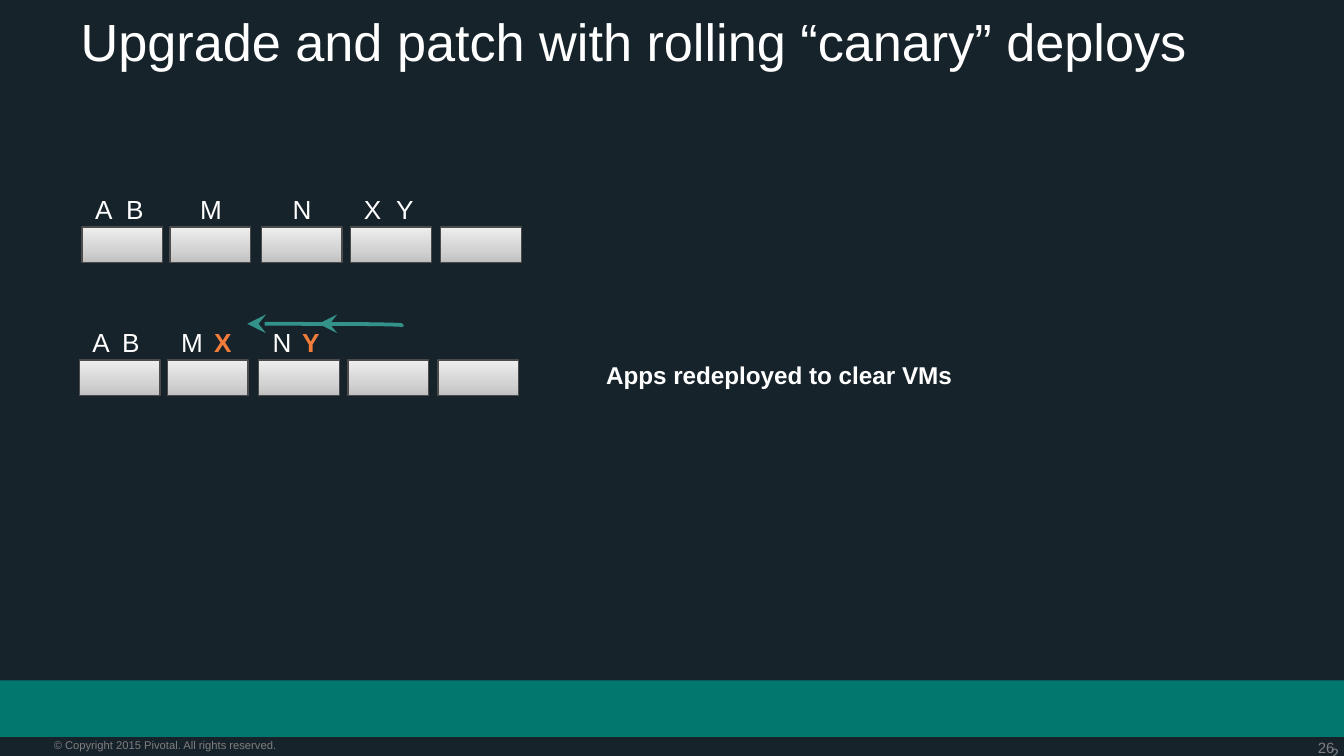
import copy
import pptx
import pptx.util
import pptx.dml.color
import pptx.enum.shapes
import pptx.enum.text
import pptx.oxml
import pptx.oxml.ns

GRID = pptx.util.Inches(0.1)
WHITE, ORANGE, TEAL, GREY = "FFFFFF", "F27C3A", "33928A", "7F7F7F"
VM_COLUMNS = (0, 6.55, 13.35, 20, 26.7)
VM_GRADIENT = ((0, "EEEEEE"), (0.65, "D3D3D3"), (1, "C0C0C0"))
DEPLOYED = (("A", 0), ("B", 2.3), ("M", 7.8), ("N", 14.7), ("X", 20), ("Y", 22.4))
REDEPLOYED = (("A", 0), ("B", 2.2), ("M", 6.6), ("N", 13.4))
MOVED = (("X", 9.05), ("Y", 15.6))


def grid(*cells):
    return [round(cell * GRID) for cell in cells]


def colour(hex_string):
    return pptx.dml.color.RGBColor.from_string(hex_string)


def element(tag, attributes=""):
    return pptx.oxml.parse_xml(f'<{tag} {pptx.oxml.ns.nsdecls("a")} {attributes}/>')


def write(frame, words, size=14, ink=WHITE, bold=False, align="LEFT", inset=(1, 0.5)):
    frame.word_wrap = True
    frame.auto_size = pptx.enum.text.MSO_AUTO_SIZE.NONE
    frame.vertical_anchor = pptx.enum.text.MSO_ANCHOR.TOP
    frame.margin_left, frame.margin_top = grid(*inset)
    frame.margin_right, frame.margin_bottom = grid(*inset)
    line = frame.paragraphs[0]
    line.alignment = getattr(pptx.enum.text.PP_ALIGN, align)
    run = line.add_run()
    run.text = words
    run.font.name = "Arial"
    run.font.size = pptx.util.Pt(size)
    run.font.bold = bold
    run.font.color.rgb = colour(ink)


def add_text(slide, box, words, **style):
    write(slide.shapes.add_textbox(*grid(*box)).text_frame, words, **style)


def add_block(slide, box):
    block = slide.shapes.add_shape(pptx.enum.shapes.MSO_SHAPE.RECTANGLE, *grid(*box))
    block.shadow.inherit = False
    return block


def add_vm(slide, box):
    vm = add_block(slide, box)
    vm.line.color.rgb = colour("4B4B4B")
    vm.line.width = pptx.util.Pt(0.75)
    vm.fill.gradient()
    vm.fill.gradient_angle = 270
    stop_list = vm.element.find(".//" + pptx.oxml.ns.qn("a:gsLst"))
    stop_list.insert(1, copy.deepcopy(stop_list[0]))
    for stop, (position, shade) in zip(vm.fill.gradient_stops, VM_GRADIENT):
        stop.position = position
        stop.color.rgb = colour(shade)


def add_vm_row(slide, left, top, apps, moved=()):
    for column in VM_COLUMNS:
        add_vm(slide, (left + column, top, 6, 2.65))
    for letters, style in ((apps, {}), (moved, {"ink": ORANGE, "bold": True})):
        for letter, offset in letters:
            add_text(slide, (left + offset, top - 3, 3.7, 3.4), letter, **style)


def add_move(slide, start, end):
    move = slide.shapes.add_connector(
        pptx.enum.shapes.MSO_CONNECTOR.CURVE, *grid(*start, *end))
    move.line.color.rgb = colour(TEAL)
    move.line.width = pptx.util.Pt(2)
    properties = move.element.spPr
    bend = properties.find(pptx.oxml.ns.qn("a:prstGeom")).get_or_add_avLst()
    bend.append(element("a:gd", 'name="adj1" fmla="val 0"'))
    stroke = properties.find(pptx.oxml.ns.qn("a:ln"))
    stroke.append(element("a:tailEnd", 'type="stealth" w="lg" len="lg"'))
    properties.append(element("a:effectLst"))


def add_footer(slide, left, top, width):
    band = add_block(slide, (left, top, width, 4.2))
    band.fill.solid()
    band.fill.fore_color.rgb = colour("00786E")
    band.line.fill.background()
    base = top + 4.3
    add_text(slide, (left + 93.5, base, 5.8, 1.4), "26",
             size=8, ink=GREY, align="RIGHT", inset=(0, 0))
    add_text(slide, (left + 4, base, 24.9, 1),
             "© Copyright 2015 Pivotal. All rights reserved.",
             size=6, ink=GREY, inset=(0, 0))
    add_text(slide, (left + 98.6, base, 1.4, 1.4), "26", size=8, ink="808080")


def add_title(slide, box, words):
    title = slide.shapes.title
    title.left, title.top, title.width, title.height = grid(*box)
    write(title.text_frame, words, size=28)


def main():
    deck = pptx.Presentation()
    deck.slide_width, deck.slide_height = grid(100, 56.25)
    slide = deck.slides.add_slide(deck.slide_layouts[5])
    slide.background.fill.solid()
    slide.background.fill.fore_color.rgb = colour("17232A")
    add_footer(slide, 0, 50.63, 100)
    add_title(slide, (5, 0.2, 90, 9.4), "Upgrade and patch with rolling “canary” deploys")
    add_vm_row(slide, 6.1, 16.88, DEPLOYED)
    add_vm_row(slide, 5.9, 26.8, REDEPLOYED, MOVED)
    add_text(slide, (44.6, 26.3, 27.7, 4.3), "Apps redeployed to clear VMs",
             size=13, bold=True, inset=(0.5, 0.5))
    add_move(slide, (27.5, 24.15), (18.4, 24.1))
    add_move(slide, (29.9, 24.3), (23.7, 24.1))
    deck.save("out.pptx")


if __name__ == "__main__":
    main()
